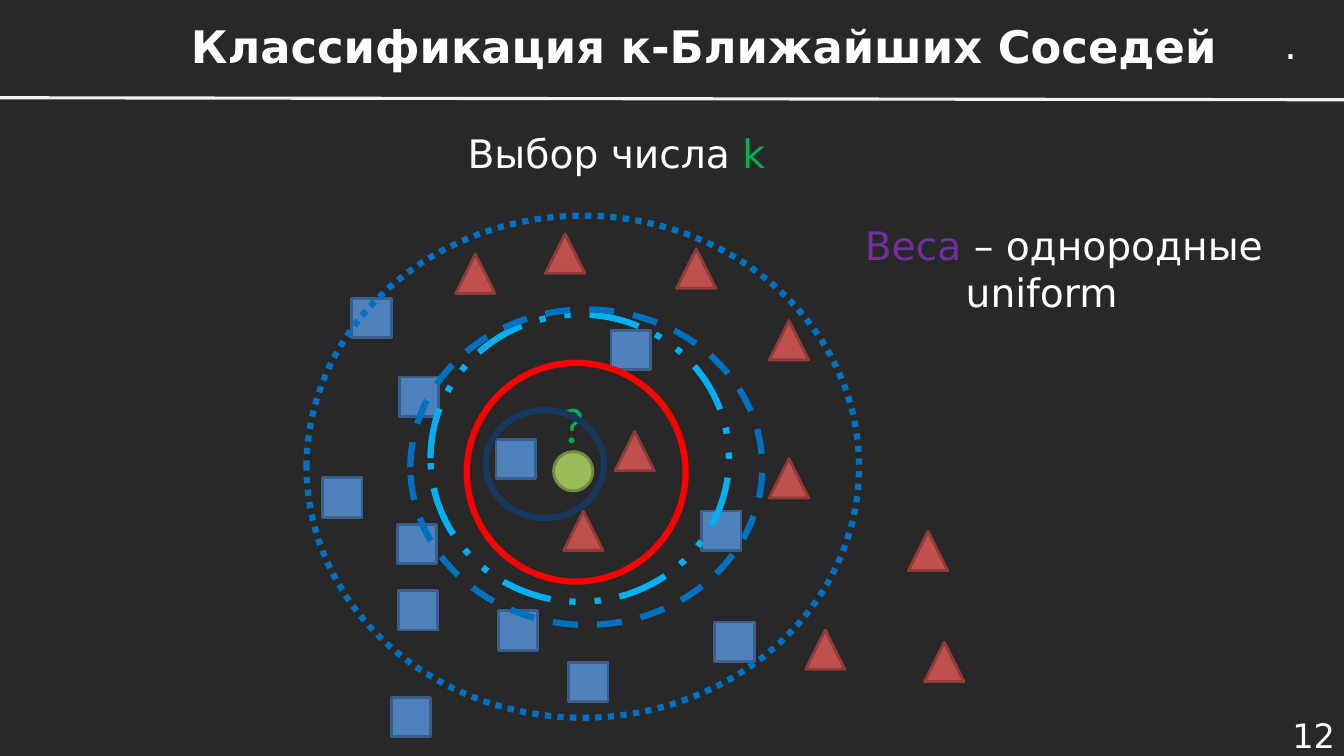
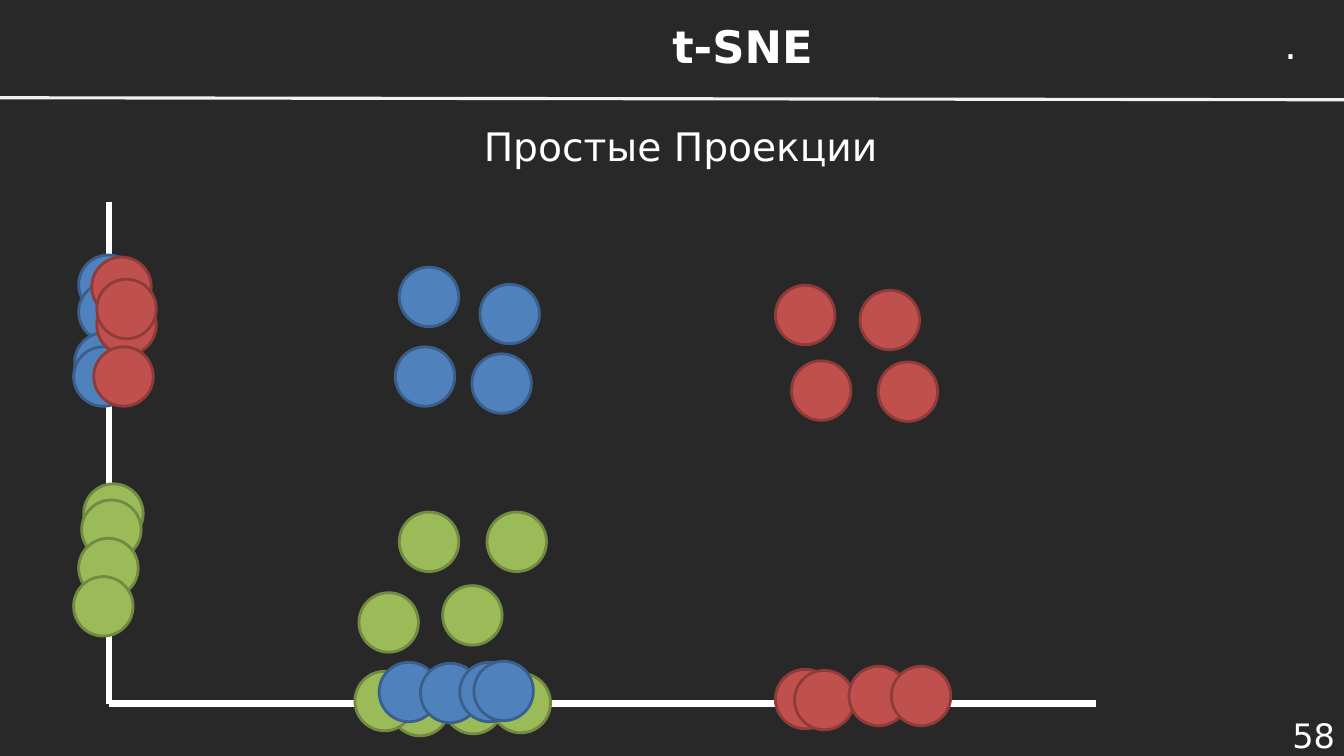
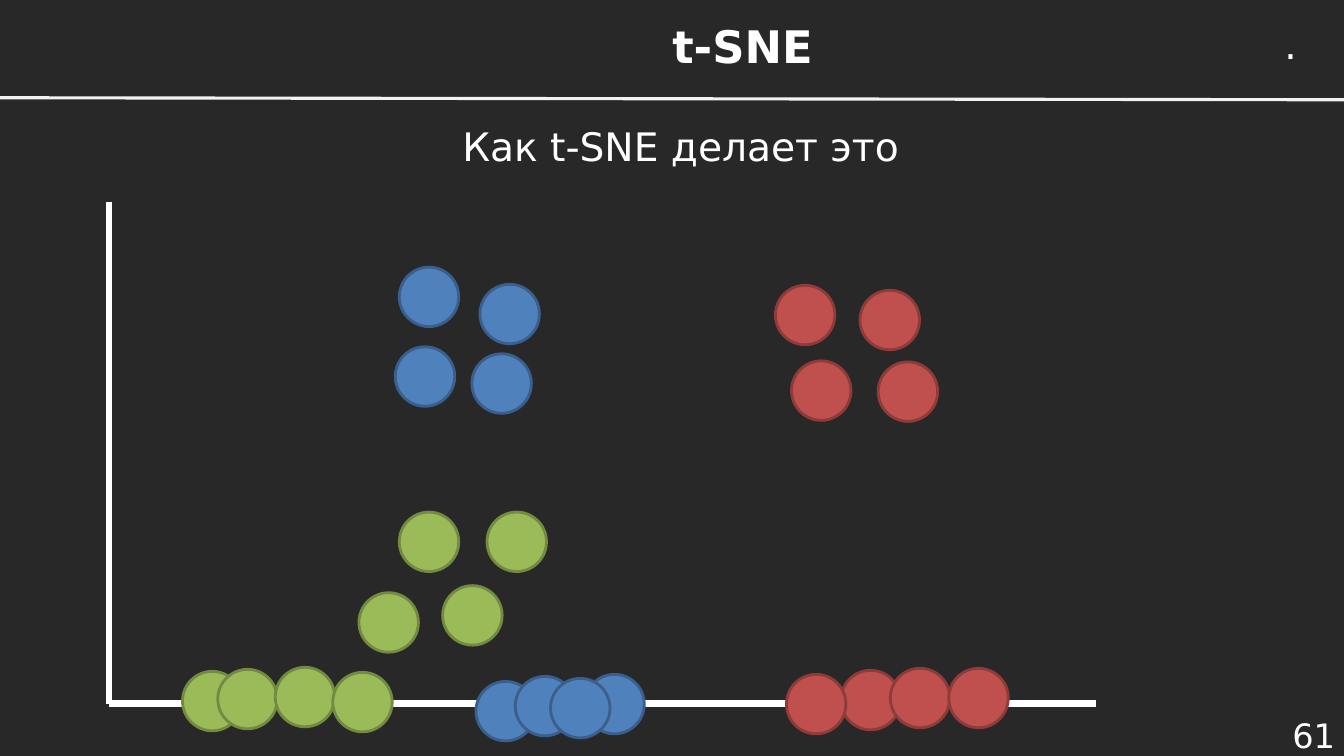
from dataclasses import dataclass
from typing import NamedTuple, Optional

from lxml.etree import SubElement
from pptx import Presentation
from pptx.dml.color import RGBColor
from pptx.enum.dml import MSO_LINE as Dash
from pptx.enum.shapes import MSO_CONNECTOR as Connector, MSO_SHAPE as Preset
from pptx.enum.text import MSO_ANCHOR as Anchor, MSO_AUTO_SIZE as AutoSize, PP_ALIGN as Align
from pptx.oxml.ns import qn
from pptx.util import Inches, Pt

SLIDE_WIDTH, SLIDE_HEIGHT = Inches(13.33), Inches(7.5)
ROWS = 7.5
CELL = SLIDE_HEIGHT / ROWS  # square grid cell
COLUMNS = SLIDE_WIDTH / CELL

COLORS = {
    "back": "272827", "text": "FFFFFF", "rule": "F2F2F2",
    "blue": "4F81BD", "blue edge": "3A5F8C",
    "red": "C0504D", "red edge": "8E3B39",
    "green": "9BBB59", "green edge": "738A42",
    "bright red": "FF0000", "sky": "00B0F0", "ocean": "0070C0", "navy": "17375E",
    "bright green": "00B050", "purple": "7030A0",
}
FONT = "DejaVu Sans"
FORMATS = {
    "title": {"name": FONT, "size": Pt(32), "bold": True},
    "body": {"name": FONT, "size": Pt(28)},
    "number": {"name": FONT, "size": Pt(24)},
    "question": {"name": "Calibri", "size": Pt(36)},
}
MARKER_EDGE, HEAVY = 2, 4.5


class Area(NamedTuple):
    """Left, top, width and height in grid cells."""
    left: float
    top: float
    width: float
    height: float


class Span(NamedTuple):
    text: str
    color: str = "text"


class Para(NamedTuple):
    spans: tuple[Span, ...]
    indent: float = 0


@dataclass(frozen=True)
class Markers:
    """Equal markers of one colour, given by their top left corners."""
    color: str
    corners: tuple[tuple[float, float], ...]
    preset: Preset = Preset.OVAL
    size: float = 0.59


@dataclass(frozen=True)
class Ring:
    area: Area
    color: str
    dash: Optional[Dash] = None


@dataclass(frozen=True)
class Projection:
    title: str
    subtitle: str
    number: int
    shadows: tuple[Markers, ...]


NUMBER_AREA = Area(COLUMNS - 1.04, 7.08, 1.05, 0.42)
DOT_AREA = Area(12.64, 0.15, 0.34, 0.57)
SUBTITLE_AREA = Area(2.97, 0.99, 7.56, 0.91)
NEIGHBOURS_TITLE_AREA = Area(1.55, 0.19, 10.87, 0.53)
PROJECTION_TITLE_AREA = Area(3.44, 0.19, 7.85, 0.53)

SMALL = 0.39
NEIGHBOURS = (
    Markers("blue", ((4.92, 4.36), (6.06, 3.28), (6.96, 5.07), (3.49, 2.96), (3.95, 5.86),
                     (5.64, 6.57), (7.09, 6.17), (3.88, 6.92), (4.94, 6.06), (3.94, 5.2),
                     (3.2, 4.74), (3.96, 3.74)), Preset.RECTANGLE, SMALL),
    Markers("red", ((5.41, 2.32), (6.1, 4.28), (4.52, 2.52), (6.71, 2.47), (7.63, 4.55),
                    (9.01, 5.27), (7.99, 6.25), (5.59, 5.07), (9.17, 6.37), (7.63, 3.18)),
            Preset.ISOSCELES_TRIANGLE, SMALL),
    Markers("green", ((5.49, 4.48),), size=SMALL),
)
RINGS = (
    Ring(Area(4.63, 3.6, 2.17, 2.17), "bright red"),
    Ring(Area(4.27, 3.12, 2.96, 2.85), "sky", Dash.DASH_DOT_DOT),
    Ring(Area(4.07, 3.07, 3.49, 3.13), "ocean", Dash.DASH),
    Ring(Area(3.04, 2.14, 5.48, 4.98), "ocean", Dash.ROUND_DOT),
    Ring(Area(4.82, 4.07, 1.17, 1.07), "navy"),
)

CLUSTERS = (
    Markers("blue", ((3.96, 2.65), (4.76, 2.82), (4.68, 3.51), (3.92, 3.44))),
    Markers("red", ((7.69, 2.83), (8.53, 2.88), (8.71, 3.59), (7.85, 3.58))),
    Markers("green", ((3.96, 5.08), (4.83, 5.08), (3.56, 5.88), (4.39, 5.81))),
)
AXIS_LEFT, AXIS_RIGHT, AXIS_TOP, AXIS_BOTTOM = 1.08, 10.87, 2, 6.98
PROJECTIONS = (
    Projection("t-SNE", "Простые Проекции", 58, (
        Markers("blue", ((0.78, 2.53), (0.78, 2.8), (0.74, 3.3), (0.73, 3.44))),
        Markers("red", ((0.91, 2.55), (0.96, 2.93), (0.96, 2.77), (0.93, 3.44))),
        Markers("green", ((0.83, 4.8), (0.81, 4.96), (0.78, 5.34), (0.73, 5.72))),
        Markers("green", ((4.87, 6.68), (4.4, 6.69), (3.87, 6.71), (3.52, 6.66))),
        Markers("red", ((7.69, 6.64), (7.88, 6.65), (8.42, 6.61), (8.84, 6.61))),
        Markers("blue", ((3.76, 6.57), (4.17, 6.58), (4.56, 6.57), (4.7, 6.56))),
    )),
    Projection("t-SNE", "Как t-SNE делает это", 61, (
        Markers("green", ((1.81, 6.66), (2.16, 6.64), (2.73, 6.62), (3.3, 6.67))),
        Markers("red", ((8.34, 6.65), (7.8, 6.69), (8.83, 6.63), (9.41, 6.63))),
        Markers("blue", ((4.72, 6.76), (5.11, 6.71), (5.8, 6.69), (5.46, 6.73))),
    )),
)


def cells(*lengths: float) -> list[int]:
    return [round(length * CELL) for length in lengths]


def rgb(color: str) -> RGBColor:
    return RGBColor.from_string(COLORS[color])


def write(frame, paras: tuple[Para, ...], style: str, align: Align = Align.LEFT) -> None:
    for index, para in enumerate(paras):
        target = frame.add_paragraph() if index else frame.paragraphs[0]
        target.alignment = align
        if para.indent:
            properties = target._p.get_or_add_pPr()
            properties.set("marL", str(cells(para.indent)[0]))
            properties.set("indent", "0")
        for span in para.spans:
            run = target.add_run()
            run.text = span.text
            for name, value in FORMATS[style].items():
                setattr(run.font, name, value)
            run.font.color.rgb = rgb(span.color)


def add_label(page, area: Area, *paras: Para, style: str = "body") -> None:
    """Add a text box that grows with its unwrapped text."""
    frame = page.shapes.add_textbox(*cells(*area)).text_frame
    frame.word_wrap = False
    frame.auto_size = AutoSize.SHAPE_TO_FIT_TEXT
    write(frame, paras, style)


def add_block(page, area: Area, text: str, style: str, align: Align) -> None:
    """Add a wrapped text box with its text in the middle of its height."""
    frame = page.shapes.add_textbox(*cells(*area)).text_frame
    frame.word_wrap = True
    frame.vertical_anchor = Anchor.MIDDLE
    write(frame, (Para((Span(text),)),), style, align)


def add_line(page, start: tuple[float, float], end: tuple[float, float],
             color: str, width: float) -> None:
    line = page.shapes.add_connector(Connector.STRAIGHT, *cells(*start, *end))
    line.line.color.rgb = rgb(color)
    line.line.width = Pt(width)
    SubElement(line._element.spPr, qn("a:effectLst"))


def add_figure(page, preset: Preset, area: Area, edge: str, width: float,
               fill: Optional[str] = None, dash: Optional[Dash] = None) -> None:
    figure = page.shapes.add_shape(preset, *cells(*area))
    figure.shadow.inherit = False
    if fill:
        figure.fill.solid()
        figure.fill.fore_color.rgb = rgb(fill)
    else:
        figure.fill.background()
    figure.line.color.rgb = rgb(edge)
    figure.line.width = Pt(width)
    if dash:
        figure.line.dash_style = dash


def add_markers(page, groups: tuple[Markers, ...]) -> None:
    for group in groups:
        for left, top in group.corners:
            add_figure(page, group.preset, Area(left, top, group.size, group.size),
                       f"{group.color} edge", MARKER_EDGE, group.color)


def add_page(deck, title: str, title_area: Area, number: int):
    """Add a slide with its title, rule, dot and number."""
    page = deck.slides.add_slide(deck.slide_layouts.get_by_name("Title Only"))
    box = page.shapes.title
    box.left, box.top, box.width, box.height = cells(*title_area)
    frame = box.text_frame
    frame.auto_size = AutoSize.NONE
    frame.vertical_anchor = Anchor.MIDDLE
    write(frame, (Para((Span(title),)),), "title", Align.CENTER)
    add_block(page, NUMBER_AREA, str(number), "number", Align.RIGHT)
    add_line(page, (0, 0.97), (COLUMNS, 0.99), "rule", 2.25)
    add_label(page, DOT_AREA, Para((Span("."),)))
    return page


def add_neighbours_page(deck) -> None:
    page = add_page(deck, "Классификация к-Ближайших Соседей", NEIGHBOURS_TITLE_AREA, 12)
    add_markers(page, NEIGHBOURS)
    add_label(page, Area(5.47, 3.85, 0.44, 0.71),
              Para((Span("?", "bright green"),)), style="question")
    for ring in RINGS:
        add_figure(page, Preset.OVAL, ring.area, ring.color, HEAVY, dash=ring.dash)
    add_label(page, Area(4.54, 1.23, 3.2, 0.57),
              Para((Span("Выбор числа "), Span("k", "bright green"))))
    add_label(page, Area(8.48, 2.15, 4.17, 1.04),
              Para((Span("Веса", "purple"), Span(" – однородные"))),
              Para((Span("uniform"),), indent=1))


def add_projection_page(deck, projection: Projection) -> None:
    page = add_page(deck, projection.title, PROJECTION_TITLE_AREA, projection.number)
    add_markers(page, CLUSTERS)
    origin = (AXIS_LEFT, AXIS_BOTTOM)
    for end in ((AXIS_LEFT, AXIS_TOP), (AXIS_RIGHT, AXIS_BOTTOM)):
        add_line(page, end, origin, "text", HEAVY)
    add_markers(page, projection.shadows)
    add_block(page, SUBTITLE_AREA, projection.subtitle, "body", Align.CENTER)


def main() -> None:
    deck = Presentation()
    deck.slide_width, deck.slide_height = SLIDE_WIDTH, SLIDE_HEIGHT
    backdrop = deck.slide_master.background.fill
    backdrop.solid()
    backdrop.fore_color.rgb = rgb("back")
    add_neighbours_page(deck)
    for projection in PROJECTIONS:
        add_projection_page(deck, projection)
    deck.save("out.pptx")


if __name__ == "__main__":
    main()
